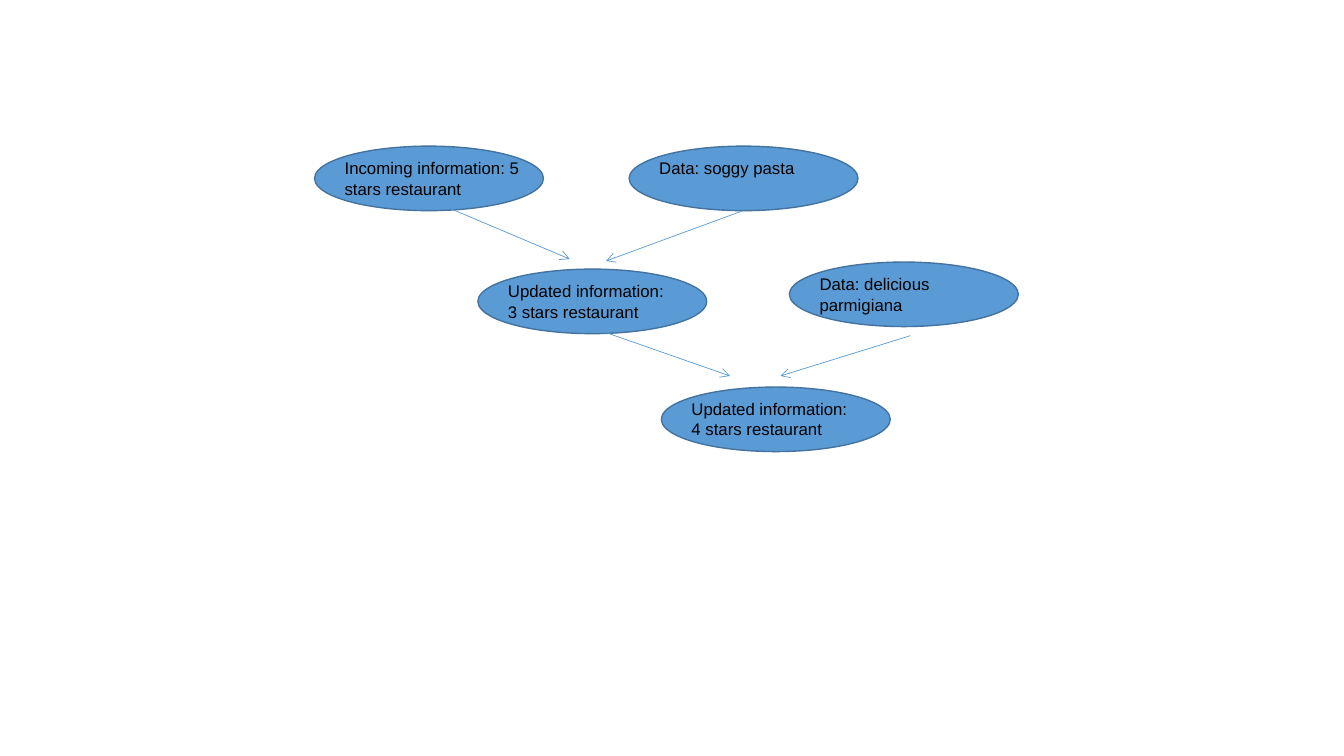
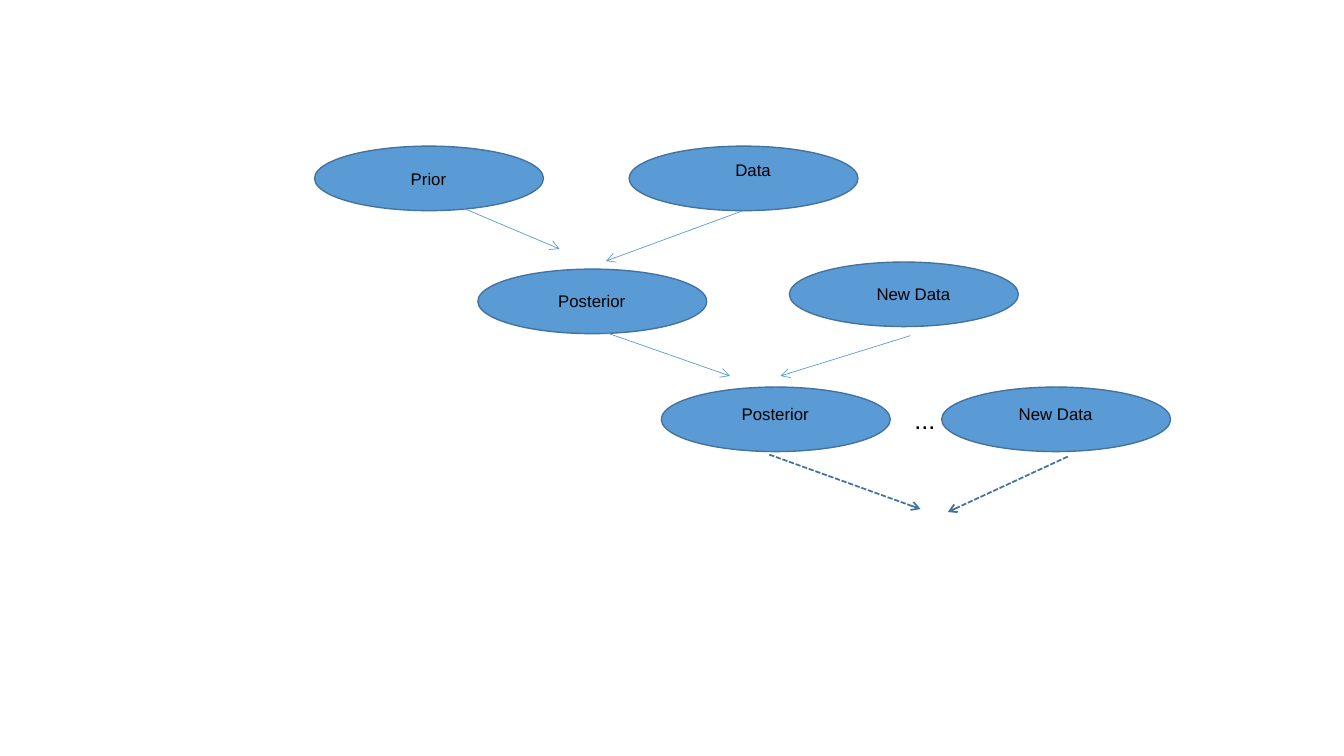
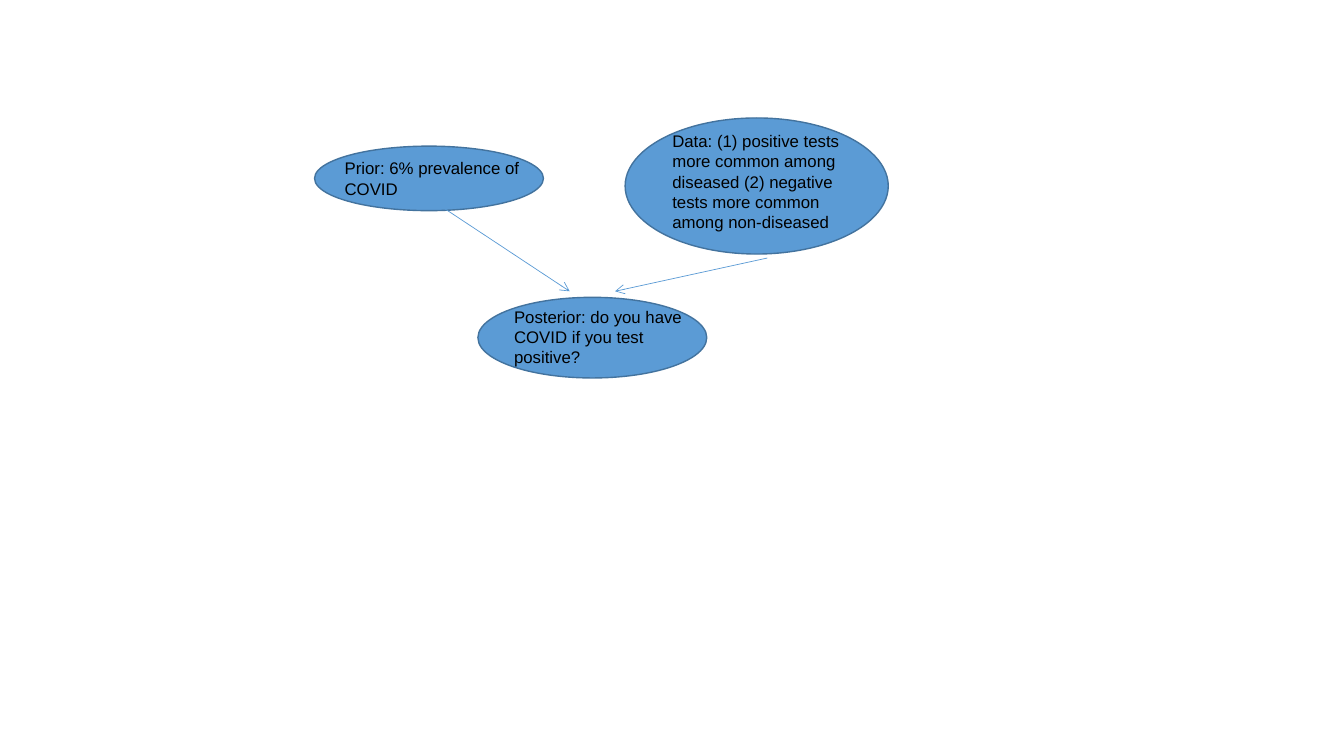
from dataclasses import dataclass

from lxml.etree import SubElement
from pptx import Presentation
from pptx.dml.color import RGBColor
from pptx.enum.dml import MSO_LINE
from pptx.enum.shapes import MSO_CONNECTOR, MSO_SHAPE
from pptx.enum.text import MSO_AUTO_SIZE, PP_ALIGN
from pptx.oxml.ns import qn
from pptx.slide import Slide
from pptx.util import Inches, Pt

Point = tuple[float, float]


# Shared look
@dataclass(frozen=True)
class Theme:
    font: str = "Arial"
    label_size: float = 12
    dots_size: float = 18
    text: RGBColor = RGBColor(0x00, 0x00, 0x00)
    fill: RGBColor = RGBColor(0x5B, 0x9B, 0xD5)
    outline: RGBColor = RGBColor(0x43, 0x73, 0x9E)
    outline_width: float = 1
    arrow_width: float = 0.5
    dashed_width: float = 1.25


THEME = Theme()
LABEL_WIDTH = 2.06
LINE_HEIGHT = 0.2
INSETS = 0.1


@dataclass(frozen=True)
class Node:
    """An ellipse and its label, which is shifted from the ellipse's corner."""
    at: Point
    text: str
    lines: int = 1
    shift: Point = (0.2, 0.07)
    size: Point = (2.27, 0.64)
    align: PP_ALIGN = PP_ALIGN.LEFT


@dataclass(frozen=True)
class Arrow:
    start: Point
    end: Point
    dashed: bool = False


@dataclass(frozen=True)
class Dots:
    at: Point
    width: float = 1.68
    height: float = 0.4


# Places that the diagrams share
PRIOR = (3.12, 1.45)
DATA = (6.24, 1.45)
UPDATE = (4.74, 2.67)
NEW_DATA = (7.83, 2.6)
SECOND_UPDATE = (6.56, 3.84)
LATER_DATA = (9.34, 3.84)

CHAIN_ARROWS = [
    Arrow((7.37, 2.09), (6.01, 2.59)),
    Arrow((5.64, 3.17), (7.24, 3.73)),
    Arrow((9.03, 3.33), (7.74, 3.73)),
]


def centred(at: Point, text: str, shift: Point) -> Node:
    return Node(at, text, shift=shift, align=PP_ALIGN.CENTER)


# Slide contents
RESTAURANT = [
    Node(PRIOR, "Incoming information: 5 stars restaurant", 2),
    Node(DATA, "Data: soggy pasta"),
    Node(UPDATE, "Updated information:\n3 stars restaurant", 2),
    Node(NEW_DATA, "Data: delicious parmigiana", 2),
    Node(SECOND_UPDATE, "Updated information:\n4 stars restaurant", 2),
    Arrow((4.35, 2.02), (5.65, 2.57)),
    *CHAIN_ARROWS,
]

BAYES_CHAIN = [
    centred(PRIOR, "Prior", (0.1, 0.17)),
    centred(DATA, "Data", (0.2, 0.09)),
    centred(UPDATE, "Posterior", (0.1, 0.17)),
    centred(NEW_DATA, "New Data", (0.2, 0.17)),
    centred(SECOND_UPDATE, "Posterior", (0.1, 0.12)),
    Arrow((4.25, 1.92), (5.55, 2.47)),
    *CHAIN_ARROWS,
    Dots((8.97, 3.96)),
    centred(LATER_DATA, "New Data", (0.1, 0.12)),
    Arrow((7.63, 4.51), (9.13, 5.05), dashed=True),
    Arrow((10.59, 4.53), (9.4, 5.08), dashed=True),
]

COVID_TEST = [
    Node(PRIOR, "Prior: 6% prevalence of COVID", 2),
    Node((6.2, 1.17),
         "Data: (1) positive tests more common among diseased "
         "(2) negative tests more common among non-diseased",
         6, shift=(0.37, 0.08), size=(2.61, 1.35)),
    Node((4.74, 2.95), "Posterior: do you have COVID if you test positive?",
         3, shift=(0.26, 0.04), size=(2.27, 0.8)),
    Arrow((4.35, 2.03), (5.65, 2.89)),
    Arrow((7.61, 2.56), (6.1, 2.89)),
]


# Drawing
def add_text(s: Slide, text: str, at: Point, *, width: float, height: float,
             size: float = THEME.label_size,
             align: PP_ALIGN = PP_ALIGN.LEFT) -> None:
    sp = s.shapes.add_textbox(*map(Inches, (*at, width, height)))
    tf = sp.text_frame
    tf.word_wrap = True
    tf.auto_size = MSO_AUTO_SIZE.SHAPE_TO_FIT_TEXT
    for i, line in enumerate(text.split("\n")):
        p = tf.add_paragraph() if i else tf.paragraphs[0]
        p.alignment = align
        r = p.add_run()
        r.text = line
        r.font.name = THEME.font
        r.font.size = Pt(size)
        r.font.color.rgb = THEME.text


def add_node(s: Slide, node: Node) -> None:
    sp = s.shapes.add_shape(MSO_SHAPE.OVAL, *map(Inches, (*node.at, *node.size)))
    sp.shadow.inherit = False
    sp.fill.solid()
    sp.fill.fore_color.rgb = THEME.fill
    sp.line.color.rgb = THEME.outline
    sp.line.width = Pt(THEME.outline_width)
    (x, y), (dx, dy) = node.at, node.shift
    add_text(s, node.text, (x + dx, y + dy), width=LABEL_WIDTH,
             height=INSETS + LINE_HEIGHT * node.lines, align=node.align)


def add_arrow(s: Slide, arrow: Arrow) -> None:
    cxn = s.shapes.add_connector(MSO_CONNECTOR.STRAIGHT,
                                 *map(Inches, (*arrow.start, *arrow.end)))
    cxn.line.color.rgb = THEME.outline if arrow.dashed else THEME.fill
    cxn.line.width = Pt(THEME.dashed_width if arrow.dashed else THEME.arrow_width)
    if arrow.dashed:
        cxn.line.dash_style = MSO_LINE.SQUARE_DOT
    # Arrowhead, and no shadow
    SubElement(cxn.line._get_or_add_ln(), qn("a:tailEnd"), type="arrow")
    SubElement(cxn._element.spPr, qn("a:effectLst"))


def add_diagram(prs: Presentation, parts: list[Node | Arrow | Dots]) -> None:
    s = prs.slides.add_slide(prs.slide_layouts[6])
    for part in parts:
        if isinstance(part, Node):
            add_node(s, part)
        elif isinstance(part, Arrow):
            add_arrow(s, part)
        else:
            add_text(s, "...", part.at, width=part.width, height=part.height,
                     size=THEME.dots_size)


def main() -> None:
    prs = Presentation()
    prs.slide_width, prs.slide_height = Inches(13.33), Inches(7.5)
    for parts in (RESTAURANT, BAYES_CHAIN, COVID_TEST):
        add_diagram(prs, parts)
    prs.save("out.pptx")


if __name__ == "__main__":
    main()
